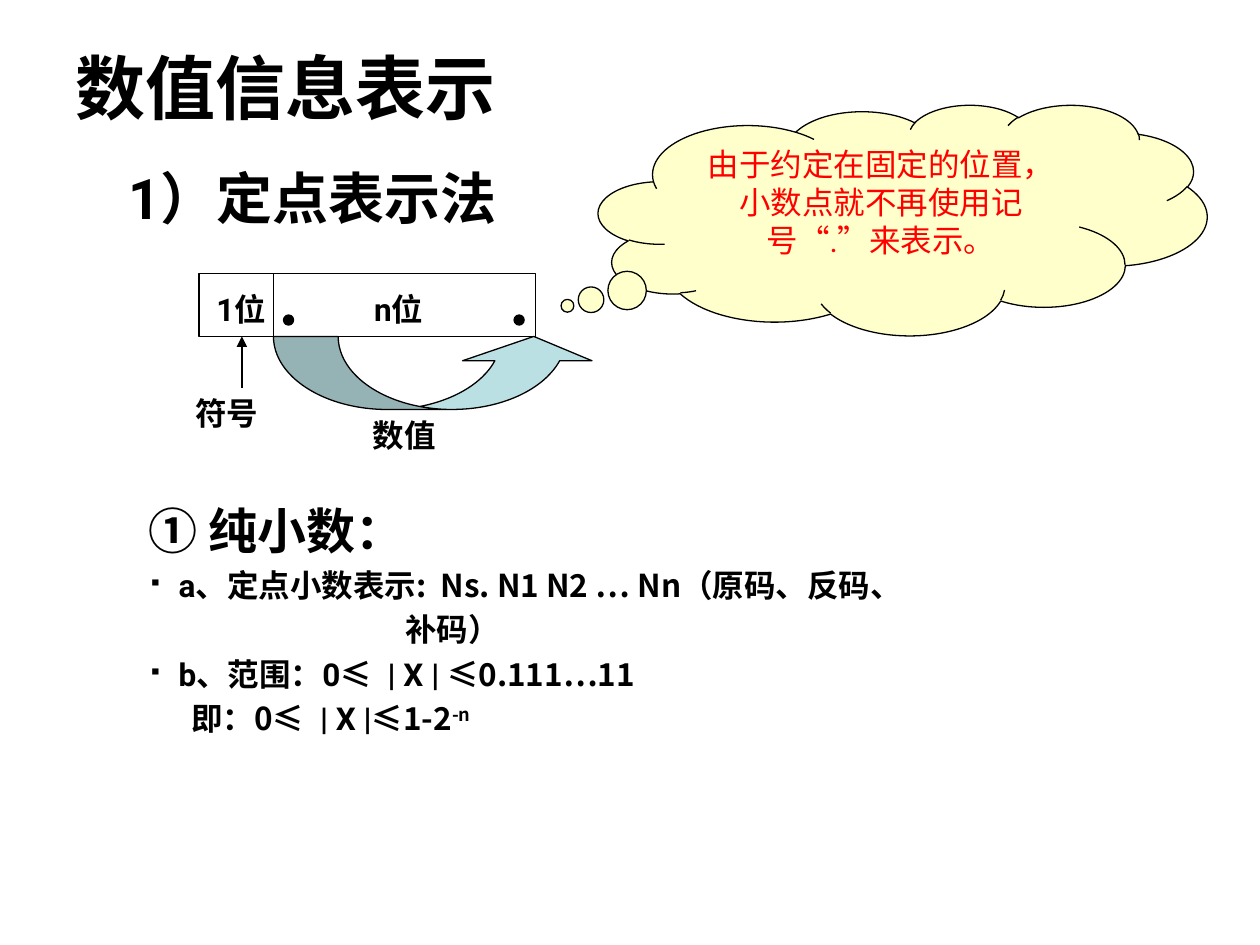
from dataclasses import dataclass
from lxml.etree import SubElement
from pptx import Presentation
from pptx.dml.color import RGBColor as RGB
from pptx.enum.shapes import MSO_CONNECTOR as Link, MSO_SHAPE as Shape
from pptx.enum.text import MSO_ANCHOR as Anchor, MSO_AUTO_SIZE as Fit, PP_ALIGN as Align
from pptx.oxml.ns import qn
from pptx.util import Inches, Pt


@dataclass(frozen=True)
class Theme:
    black: RGB = RGB(0, 0, 0)
    white: RGB = RGB(255, 255, 255)
    teal: RGB = RGB(0xBB, 0xE0, 0xE3)
    cream: RGB = RGB(0xFF, 0xFF, 0xCC)
    red: RGB = RGB(255, 0, 0)
    title: int = 40
    head: int = 32
    item: int = 28
    text: int = 18
    line: float = 0.75
    main: str = "Roboto"
    cjk: str = "Noto Sans CJK SC"
    top: str = "Arial"


T = Theme()

# Each row: bullet, left margin, size, line height in points, runs.
ROWS = [
    (False, 0, T.item, 34, [("① ", T.cjk), ("纯小数：", T.main)]),
    (True, 0.24, T.text, 21.7,
     [("a", T.main), ("、定点小数表示:  Ns. N1 N2 … Nn（原码、反码、", T.cjk)]),
    (False, 2.04, T.text, 21.7, [("补码）", T.cjk)]),
    (True, 0.24, T.text, 21.7,
     [("b、范围：0", T.main), ("≤", T.cjk), ("  | X | ", T.main),
      ("≤0.111…11", T.cjk)]),
    (False, 0.34, T.text, 21.7,
     [("即：0≤", T.cjk), ("  | X |", T.main), ("≤1-2", T.cjk), ("-n", T.cjk)]),
]


def style(font, size, name=T.main, color=T.black, bold=True):
    font.size, font.name, font.bold = Pt(size), name, bold
    font.color.rgb = color


def add_text(slide, box, text, size=T.text, align=Align.LEFT):
    frame = slide.shapes.add_textbox(*map(Inches, box)).text_frame
    frame.word_wrap = True
    para = frame.paragraphs[0]
    para.text, para.alignment = text, align
    style(para.font, size)


def add_shape(slide, kind, box, fill, adjust=()):
    shape = slide.shapes.add_shape(kind, *map(Inches, box))
    shape.shadow.inherit = False
    shape.fill.solid()
    shape.fill.fore_color.rgb = fill
    shape.line.color.rgb = T.black
    shape.line.width = Pt(T.line)
    for i, value in enumerate(adjust):
        shape.adjustments[i] = value
    return shape


def add_line(slide, start, end, arrow=False):
    link = slide.shapes.add_connector(
        Link.STRAIGHT, *map(Inches, (*start, *end)))
    link.line.color.rgb = T.black
    link.line.width = Pt(T.line)
    if arrow:
        SubElement(link.line._get_or_add_ln(), qn("a:tailEnd"), type="triangle")
    SubElement(link._element.spPr, qn("a:effectLst"))


def add_bullet(para, indent):
    props = para._p.get_or_add_pPr()
    props.set("indent", str(-Inches(indent)))
    color = SubElement(props, qn("a:buClr"))
    SubElement(color, qn("a:srgbClr"), val=str(T.black))
    SubElement(props, qn("a:buSzPct"), val="60000")
    SubElement(props, qn("a:buChar"), char="▪")


def add_title(slide, text):
    title = slide.shapes.title
    title.left, title.top, title.width, title.height = map(
        Inches, (0.5, 0.3, 9, 0.77))
    frame = title.text_frame
    frame.text = text
    frame.auto_size = Fit.NONE
    frame.vertical_anchor = Anchor.MIDDLE
    para = frame.paragraphs[0]
    para.alignment = Align.LEFT
    style(para.font, T.title, T.top)


def add_word(slide):
    """Draw the number layout: sign bit, n value bits and both points."""
    add_shape(slide, Shape.RECTANGLE, (1.58, 2.17, 2.67, 0.5), T.white)
    add_line(slide, (2.17, 2.17), (2.17, 2.67))
    add_line(slide, (1.92, 3.08), (1.92, 2.67), arrow=True)
    add_shape(slide, Shape.CURVED_UP_ARROW, (2.17, 2.67, 2.58, 0.58),
              T.teal, (0.886, 1.771, 0.333))
    for left in (2.25, 4.08):
        add_shape(slide, Shape.FLOWCHART_CONNECTOR,
                  (left, 2.5, 0.08, 0.08), T.black)
    add_text(slide, (1.45, 3.08, 1.05, 0.5), "符号")
    add_text(slide, (2.86, 3.25, 1.06, 0.5), "数值")
    add_text(slide, (2.5, 2.25, 1.33, 0.5), "n位", align=Align.CENTER)
    add_text(slide, (1.5, 2.25, 0.83, 0.5), "1位", align=Align.CENTER)


def add_body(slide):
    box = slide.shapes.add_textbox(*map(Inches, (1.08, 3.92, 8.5, 2.48)))
    frame = box.text_frame
    frame.word_wrap = True
    for i, (bullet, margin, size, height, runs) in enumerate(ROWS):
        para = frame.add_paragraph() if i else frame.paragraphs[0]
        para.line_spacing = Pt(height)
        para.space_before = Pt(3.6 if i else 0)
        para._p.get_or_add_pPr().set("marL", str(Inches(margin)))
        if bullet:
            add_bullet(para, margin)
        for text, name in runs:
            run = para.add_run()
            run.text = text
            style(run.font, size, name)
    run._r.get_or_add_rPr().set("baseline", "30000")


def add_cloud(slide, text):
    cloud = add_shape(slide, Shape.CLOUD_CALLOUT, (4.75, 0.83, 4.83, 1.83),
                      T.cream, (-0.551, 0.373))
    frame = cloud.text_frame
    frame.word_wrap = True
    frame.vertical_anchor = Anchor.TOP
    para = frame.paragraphs[0]
    para.text, para.alignment = text, Align.CENTER
    style(para.font, T.text, color=T.red, bold=False)


def main():
    deck = Presentation()
    deck.slide_width, deck.slide_height = Inches(10), Inches(7.5)
    slide = deck.slides.add_slide(deck.slide_layouts[5])
    add_title(slide, "数值信息表示")
    add_text(slide, (0.92, 1.25, 3.5, 0.63), "1）定点表示法", T.head)
    add_word(slide)
    add_body(slide)
    add_cloud(slide, "由于约定在固定的位置，小数点就不再使用记号“.”来表示。")
    deck.save("out.pptx")


if __name__ == "__main__":
    main()
